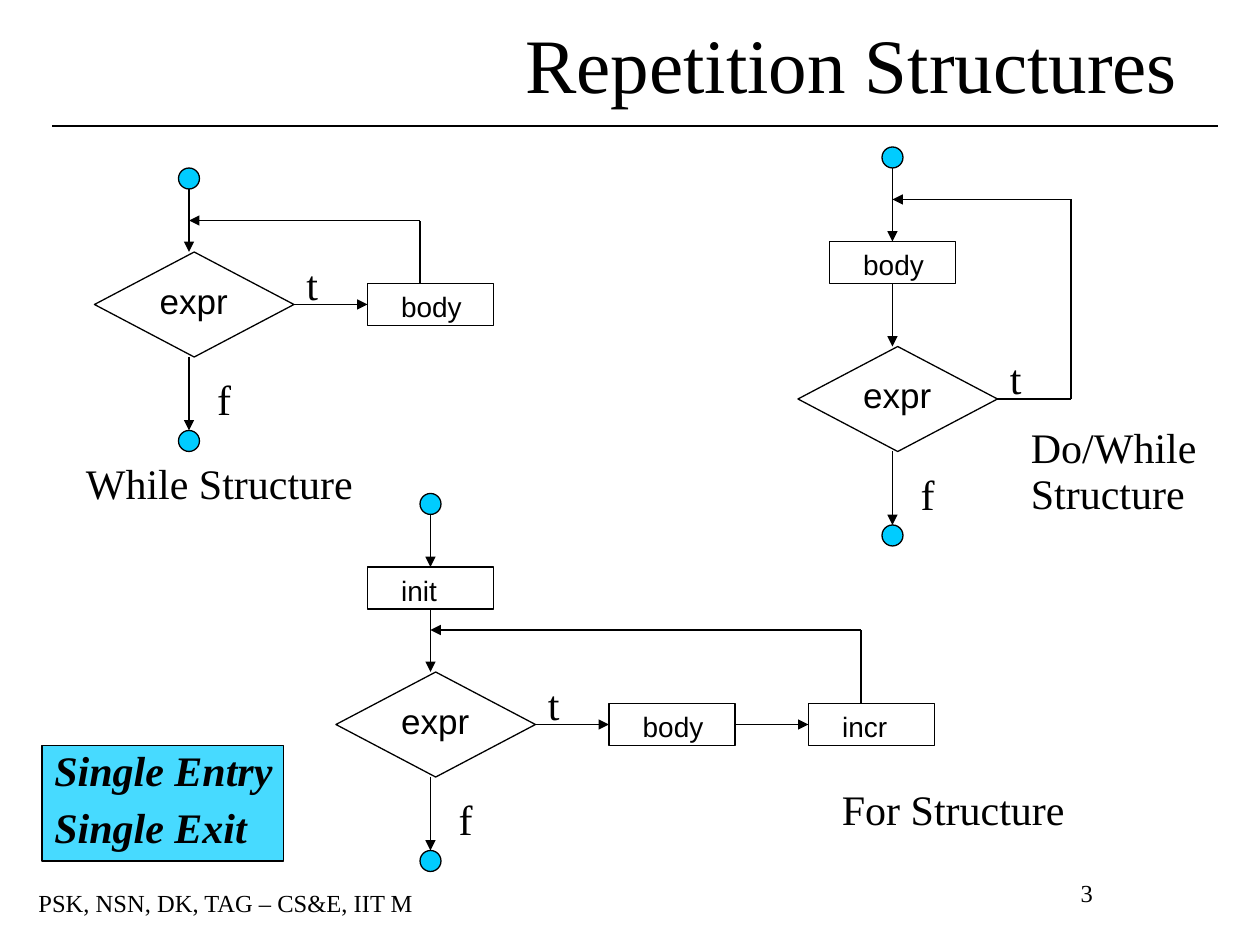
from lxml import etree
from pptx import Presentation
from pptx.dml.color import RGBColor
from pptx.enum.shapes import MSO_CONNECTOR, MSO_SHAPE
from pptx.enum.text import MSO_ANCHOR, PP_ALIGN
from pptx.oxml.ns import qn
from pptx.util import Cm, Pt

RECTANGLE, DIAMOND, OVAL = MSO_SHAPE.RECTANGLE, MSO_SHAPE.DIAMOND, MSO_SHAPE.OVAL
STRAIGHT = MSO_CONNECTOR.STRAIGHT
TOP, MIDDLE = MSO_ANCHOR.TOP, MSO_ANCHOR.MIDDLE
LEFT, CENTER = PP_ALIGN.LEFT, PP_ALIGN.CENTER

GRID = 2.54 / 12
SERIF, SANS = "Times New Roman", "Arial"
BLACK, CYAN = "000000", "00CCFF"
TOP_SIDE, LEFT_SIDE, BOTTOM_SIDE, RIGHT_SIDE = range(4)


def grid(*steps):
    return [Cm(step * GRID) for step in steps]


def paint(color_format, color):
    color_format.rgb = RGBColor.from_string(color)


def write(frame, lines, size, font=SERIF, align=LEFT, before=0, spacing=None,
          insets=(0.25, 0.13, 0.25, 0.13), anchor=TOP, emphasis=False):
    frame.word_wrap = True
    frame.vertical_anchor = anchor
    (frame.margin_left, frame.margin_top,
     frame.margin_right, frame.margin_bottom) = map(Cm, insets)
    frame.text = "\n".join(lines)
    for paragraph in frame.paragraphs:
        paragraph.alignment = align
        paragraph.space_before = Pt(before)
        paragraph.line_spacing = spacing
        paragraph.font.name = font
        paragraph.font.size = Pt(size)
        paragraph.font.bold = paragraph.font.italic = emphasis
        paint(paragraph.font.color, BLACK)


def add_outlined(slide, preset, place, fill=None):
    outlined = slide.shapes.add_shape(preset, *grid(*place))
    outlined.shadow.inherit = False
    if fill:
        outlined.fill.solid()
        paint(outlined.fill.fore_color, fill)
    else:
        outlined.fill.background()
    paint(outlined.line.color, BLACK)
    outlined.line.width = Pt(0.75)
    return outlined


def add_step(slide, label, left, top):
    step = add_outlined(slide, RECTANGLE, (left, top, 12, 4))
    write(step.text_frame, [label], 16, SANS, insets=(0.68, 0.13, 0, 0))
    return step


def add_decision(slide, left, top):
    decision = add_outlined(slide, DIAMOND, (left, top, 19, 10))
    write(decision.text_frame, ["expr"], 20, SANS, insets=(0.31, 0.02, 0, 0))
    return decision


def add_terminal(slide, center, top):
    add_outlined(slide, OVAL, (center - 1, top, 2, 2), CYAN)


def add_line(slide, start, end, arrow=True, source=None, target=None):
    line = slide.shapes.add_connector(STRAIGHT, *grid(*start, *end))
    paint(line.line.color, BLACK)
    line.line.width = Pt(0.75)
    properties = line._element.spPr
    if arrow:
        etree.SubElement(properties.find(qn("a:ln")), qn("a:tailEnd"), type="triangle")
    etree.SubElement(properties, qn("a:effectLst"))
    if source:
        line.begin_connect(*source)
    if target:
        line.end_connect(*target)


def add_route(slide, points, source=None):
    last = len(points) - 2
    for index, (start, end) in enumerate(zip(points, points[1:])):
        add_line(slide, start, end, index == last, source if index == 0 else None)


def add_text(slide, place, lines, size=24, **style):
    box = slide.shapes.add_textbox(*grid(*place))
    write(box.text_frame, lines, size, **style)


def add_caption(slide, place, *lines, spacing=None):
    add_text(slide, place, lines, before=15, spacing=spacing)


def add_exit(slide, center, top):
    add_line(slide, (center, top), (center, top + 7))
    add_terminal(slide, center, top + 7)
    add_caption(slide, (center + 1.5, top + 1, 8, 6), "f")


def add_while(slide):
    add_terminal(slide, 18, 14 + 2 - 0)
    expr = add_decision(slide, 9, 24)
    body = add_step(slide, "body", 35, 27)
    add_line(slide, (18, 18), (18, 24))
    add_line(slide, (28, 29), (35, 29),
             source=(expr, RIGHT_SIDE), target=(body, LEFT_SIDE))
    add_route(slide, [(40, 27), (40, 21), (18, 21)])
    add_caption(slide, (28, 24, 5, 6), "t")
    add_exit(slide, 18, 34)
    add_caption(slide, (7, 43, 28, 6), "While Structure")


def add_do_while(slide):
    add_terminal(slide, 85, 14)
    body = add_step(slide, "body", 79, 23)
    expr = add_decision(slide, 76, 33)
    add_line(slide, (85, 16), (85, 23), target=(body, TOP_SIDE))
    add_line(slide, (85, 27), (85, 33), source=(body, BOTTOM_SIDE))
    add_route(slide, [(95, 38), (102, 38), (102, 19), (85, 19)], (expr, RIGHT_SIDE))
    add_caption(slide, (95, 33, 5, 6), "t")
    add_exit(slide, 85, 43)
    add_caption(slide, (97, 42, 19, 7.5), "Do/While", "Structure", spacing=0.4)


def add_for(slide):
    add_terminal(slide, 41, 47)
    init = add_step(slide, "init", 35, 54)
    expr = add_decision(slide, 32, 64)
    body = add_step(slide, "body", 58, 67)
    incr = add_step(slide, "incr", 77, 67)
    add_line(slide, (41, 49), (41, 54), target=(init, TOP_SIDE))
    add_line(slide, (41, 58), (41, 64), source=(init, BOTTOM_SIDE))
    add_line(slide, (51, 69), (58, 69),
             source=(expr, RIGHT_SIDE), target=(body, LEFT_SIDE))
    add_line(slide, (70, 69), (77, 69),
             source=(body, RIGHT_SIDE), target=(incr, LEFT_SIDE))
    add_route(slide, [(82, 67), (82, 60), (41, 60)])
    add_caption(slide, (51, 64, 5, 6), "t")
    add_exit(slide, 41, 74)
    add_caption(slide, (79, 74, 26, 6), "For Structure")


def add_summary(slide):
    summary = add_outlined(slide, RECTANGLE, (4, 71, 23, 11), CYAN)
    color = summary._element.spPr.find(qn("a:solidFill"))[0]
    etree.SubElement(color, qn("a:alpha"), val="72000")
    write(summary.text_frame, ["Single Entry", "Single Exit"], 24, before=15,
          spacing=0.6, insets=(0.25, 0.34, 0, 0), emphasis=True)


def add_heading(slide):
    title = slide.shapes.title
    title.left, title.top, title.width, title.height = map(Cm, (8.2, 0.2, 16.56, 2.13))
    write(title.text_frame, ["Repetition Structures"], 44,
          insets=(2.39, 0, 0, 0), anchor=MIDDLE)
    add_line(slide, (5, 12), (116, 12), arrow=False)


def main():
    deck = Presentation()
    deck.slide_width, deck.slide_height = Cm(25.4), Cm(19.05)
    slide = deck.slides.add_slide(deck.slide_layouts[5])
    add_heading(slide)
    add_while(slide)
    add_do_while(slide)
    add_for(slide)
    add_summary(slide)
    add_text(slide, (0, 84, 43, 4), ["PSK, NSN, DK, TAG – CS&E, IIT M"], 14, align=CENTER)
    add_text(slide, (91, 83, 25, 4), ["3"], 14, align=CENTER)
    deck.save("out.pptx")


if __name__ == "__main__":
    main()
